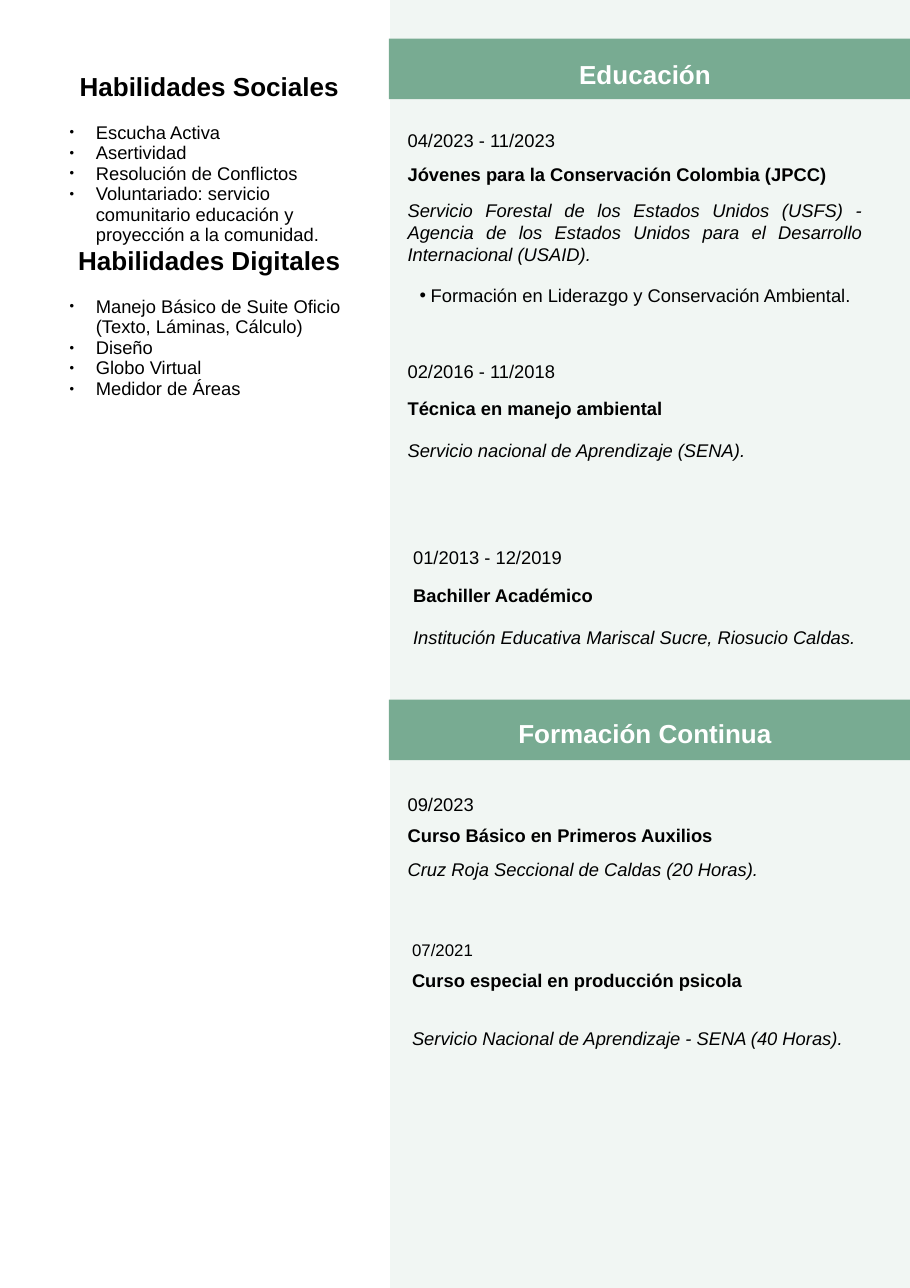
"""Build a résumé page with skills on the left and education on the right."""
from lxml import etree
from pptx import Presentation
from pptx.dml.color import RGBColor
from pptx.enum.shapes import MSO_SHAPE
from pptx.enum.text import MSO_ANCHOR, MSO_AUTO_SIZE, PP_ALIGN
from pptx.oxml.ns import qn
from pptx.util import Inches, Pt

RECTANGLE = MSO_SHAPE.RECTANGLE
TOP, NO_FIT = MSO_ANCHOR.TOP, MSO_AUTO_SIZE.NONE
LEFT, CENTER, JUSTIFY = PP_ALIGN.LEFT, PP_ALIGN.CENTER, PP_ALIGN.JUSTIFY

SKILLS = [
    (0.63, 1.6, "Habilidades Sociales", [
        "Escucha Activa",
        "Asertividad",
        "Resolución de Conflictos",
        "Voluntariado: servicio comunitario educación y proyección a la comunidad.",
    ]),
    (2.21, 1.71, "Habilidades Digitales", [
        "Manejo Básico de Suite Oficio (Texto, Láminas, Cálculo)",
        "Diseño",
        "Globo Virtual",
        "Medidor de Áreas",
    ]),
]
SECTIONS = [(0.35, 0.52, "Educación"), (6.35, 6.5, "Formación Continua")]
ENTRIES = [
    (3.7, [
        (1.18, "date", "04/2023 - 11/2023"),
        (1.49, "name", "Jóvenes para la Conservación Colombia (JPCC)"),
        (1.81, "school", "Servicio Forestal de los Estados Unidos (USFS) - Agencia de los "
                         "Estados Unidos para el Desarrollo Internacional (USAID).",
         "Formación en Liderazgo y Conservación Ambiental."),
    ]),
    (3.7, [
        (3.27, "date", "02/2016 - 11/2018"),
        (3.61, "name", "Técnica en manejo ambiental"),
        (3.99, "school", "Servicio nacional de Aprendizaje (SENA)."),
    ]),
    (3.75, [
        (4.96, "date", "01/2013 - 12/2019"),
        (5.31, "name", "Bachiller Académico"),
        (5.68, "school", "Institución Educativa Mariscal Sucre, Riosucio Caldas."),
    ]),
    (3.7, [
        (7.2, "date", "09/2023"),
        (7.49, "name", "Curso Básico en Primeros Auxilios"),
        (7.76, "course", "Cruz Roja Seccional de Caldas (20 Horas)."),
    ]),
    (3.74, [
        (8.52, "small date", "07/2021"),
        (8.8, "name", "Curso especial en producción psicola"),
        (9.3, "course", "Servicio Nacional de Aprendizaje - SENA (40 Horas)."),
    ]),
]

THEME = {
    "font": "Arial", "ink": "000000", "white": "FFFFFF", "panel": "F1F6F3", "band": "78AB92",
    "heading": 17, "body": 12, "small": 11,
}
HEADING = {"size": Pt(THEME["heading"]), "bold": True, "italic": False}
PLAIN = {"size": Pt(THEME["body"]), "bold": False, "italic": False}
STYLES = {
    "band": (HEADING, {"alignment": CENTER, "line_spacing": Pt(21.3)}),
    "heading": (HEADING, {"alignment": CENTER, "line_spacing": Pt(21.3)}),
    "list": (PLAIN, {"alignment": LEFT, "line_spacing": Pt(13.4)}),
    "date": (PLAIN, {"alignment": LEFT, "line_spacing": Pt(14)}),
    "small date": (PLAIN | {"size": Pt(THEME["small"])},
                   {"alignment": LEFT, "line_spacing": Pt(13.8)}),
    "name": (PLAIN | {"bold": True}, {"alignment": JUSTIFY, "line_spacing": Pt(13.8)}),
    "school": (PLAIN | {"italic": True}, {"alignment": JUSTIFY, "line_spacing": 1.0}),
    "course": (PLAIN | {"italic": True}, {"alignment": JUSTIFY, "line_spacing": Pt(16.2)}),
}
HEIGHTS = {"date": 0.22, "small date": 0.22, "name": 0.38, "school": 0.82, "course": 0.33}
ENTRY_WIDTH = 4.13
GAP = Pt(13.4)


def apply(target, values):
    for key, value in values.items():
        setattr(target, key, value)


def place(box, left, top, width, height):
    apply(box, {"left": Inches(left), "top": Inches(top),
                "width": Inches(width), "height": Inches(height)})
    apply(box.text_frame, {"margin_left": 0, "margin_right": 0, "margin_top": 0,
                           "margin_bottom": 0, "word_wrap": True,
                           "auto_size": NO_FIT, "vertical_anchor": TOP})
    return box.text_frame


def write(para, text, style, margin=0, hang=0, bullet=None, bullet_size=100, before=0):
    properties = para._p.get_or_add_pPr()
    properties.set("marL", str(Inches(margin)))
    properties.set("indent", str(-Inches(hang)))
    if bullet:
        color = etree.SubElement(properties, qn("a:buClr"))
        etree.SubElement(color, qn("a:srgbClr"), val=THEME["ink"])
        etree.SubElement(properties, qn("a:buSzPct"), val=str(bullet_size * 1000))
        etree.SubElement(properties, qn("a:buFont"), typeface=THEME["font"])
        etree.SubElement(properties, qn("a:buChar"), char=bullet)
    else:
        etree.SubElement(properties, qn("a:buNone"))
    font_format, para_format = STYLES[style]
    apply(para, para_format | {"space_before": before, "space_after": Pt(0)})
    span = para.add_run()
    span.text = text
    apply(span.font, font_format | {"name": THEME["font"]})
    ink = THEME["white" if style == "band" else "ink"]
    span.font.color.rgb = RGBColor.from_string(ink)


def add_block(page, left, top, width, height, color):
    block = page.shapes.add_shape(RECTANGLE, Inches(left), Inches(top),
                                  Inches(width), Inches(height))
    block.shadow.inherit = False
    block.fill.solid()
    block.fill.fore_color.rgb = RGBColor.from_string(color)
    block.line.fill.background()


def add_skills(box, top, height, heading, items):
    frame = place(box, 0.63, top, 2.49, height)
    write(frame.paragraphs[0], heading, "heading", margin=0.05)
    for number, item in enumerate(items):
        write(frame.add_paragraph(), item, "list", margin=0.24, hang=0.24, bullet="●",
              bullet_size=45, before=Pt(0) if number else GAP)


def add_entry(page, left, top, style, text, detail=None):
    box = page.shapes.add_textbox(0, 0, 0, 0)
    frame = place(box, left, top, ENTRY_WIDTH, HEIGHTS[style])
    write(frame.paragraphs[0], text, style)
    if detail:
        write(frame.add_paragraph(), detail, "list", margin=0.21, hang=0.1,
              bullet="•", before=GAP)


def main():
    deck = Presentation()
    deck.slide_width, deck.slide_height = Inches(8.26), Inches(11.69)
    page = deck.slides.add_slide(deck.slide_layouts[3])
    title, *bodies = page.placeholders
    for body, skills in zip(bodies, SKILLS):
        add_skills(body, *skills)

    add_block(page, 3.54, 0, 4.72, 11.69, THEME["panel"])
    for band_top, _, _ in SECTIONS:
        add_block(page, 3.53, band_top, 4.73, 0.55, THEME["band"])
    page.shapes.element.append(title.element)
    title_boxes = [title, page.shapes.add_textbox(0, 0, 0, 0)]
    for box, (_, text_top, text) in zip(title_boxes, SECTIONS):
        frame = place(box, 3.52, text_top, 4.67, 0.29)
        write(frame.paragraphs[0], text, "band")

    for left, lines in ENTRIES:
        for line in lines:
            add_entry(page, left, *line)
    deck.save("out.pptx")


if __name__ == "__main__":
    main()
